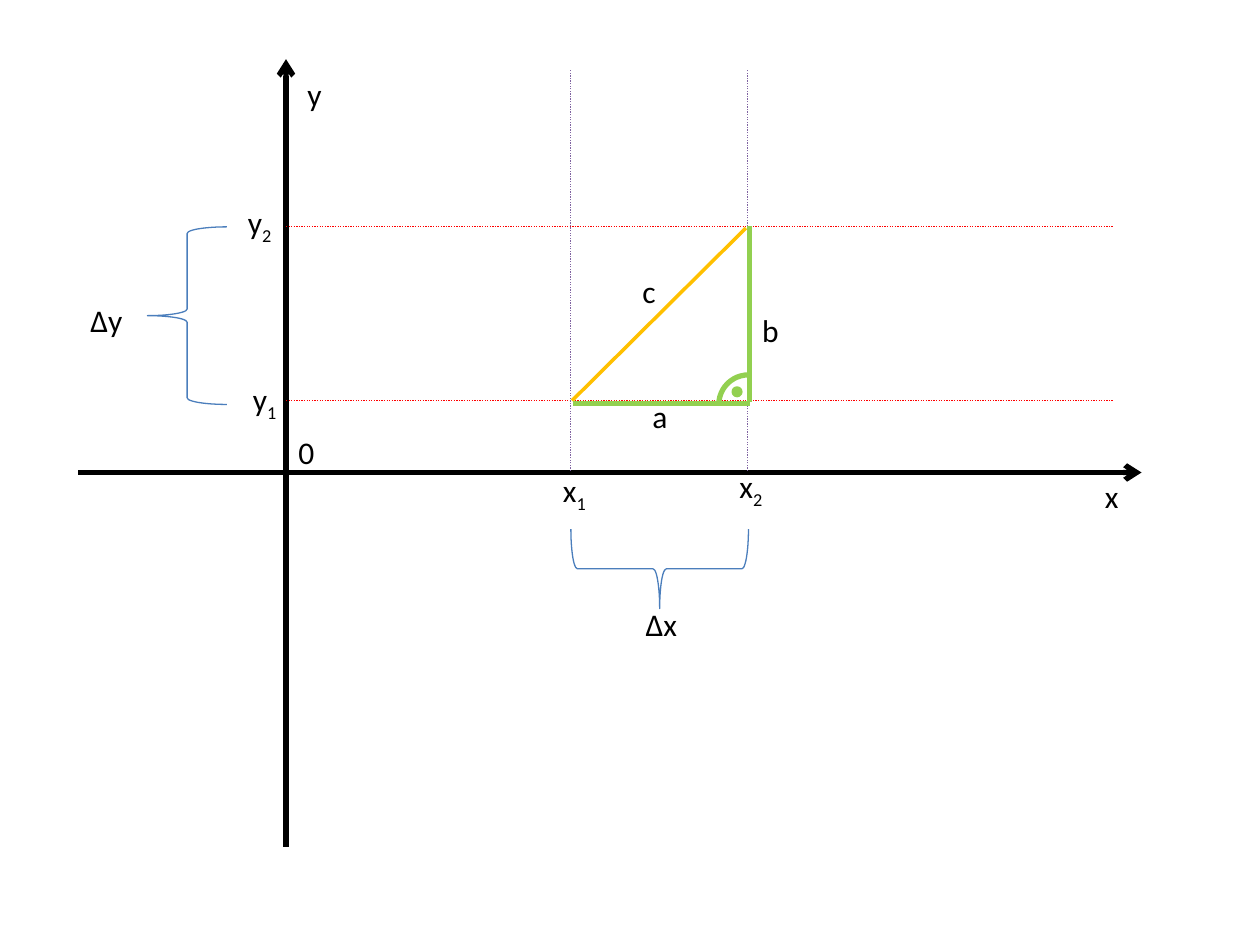
from collections import namedtuple

from lxml.etree import SubElement
from pptx import Presentation
from pptx.dml.color import RGBColor
from pptx.enum.dml import MSO_LINE_DASH_STYLE as Dash
from pptx.enum.shapes import MSO_CONNECTOR as Connector, MSO_SHAPE as Shape
from pptx.enum.text import MSO_AUTO_SIZE as AutoSize
from pptx.oxml.ns import qn
from pptx.util import Inches, Pt

COLORS = {"axis": "000000", "hypotenuse": "FFC000", "leg": "92D050",
          "level": "FF0000", "upright": "8064A2", "brace": "4B7EBC"}
FONT, TEXT_SIZE, LABEL_HEIGHT = "Calibri", 18, 0.4
BRACE_DEPTH = 0.63

# left, top, width and height in inches
Box = namedtuple("Box", "left top width height")


def color(name):
    return RGBColor.from_string(COLORS[name])


def add_line(page, start, end, name, width, dash=None, arrow=False):
    line = page.shapes.add_connector(
        Connector.STRAIGHT, *(Inches(value) for value in (*start, *end)))
    line.line.color.rgb = color(name)
    line.line.width = Pt(width)
    if dash:
        line.line.dash_style = dash
    if arrow:
        SubElement(line.line._get_or_add_ln(), qn("a:tailEnd"), type="arrow")
    SubElement(line._element.spPr, qn("a:effectLst"))


def add_outline(page, kind, box, name, width, rotation=0):
    shape = page.shapes.add_shape(kind, *(Inches(value) for value in box))
    shape.shadow.inherit = False
    shape.fill.background()
    shape.line.color.rgb = color(name)
    shape.line.width = Pt(width)
    shape.rotation = rotation
    return shape


def add_label(page, left, top, width, text, subscript=""):
    label = page.shapes.add_textbox(
        *(Inches(value) for value in (left, top, width, LABEL_HEIGHT)))
    frame = label.text_frame
    frame.word_wrap = False
    frame.auto_size = AutoSize.SHAPE_TO_FIT_TEXT
    para = frame.paragraphs[0]
    para.font.name, para.font.size = FONT, Pt(TEXT_SIZE)
    para.font.color.rgb = color("axis")
    para.add_run().text = text
    if subscript:
        span = para.add_run()
        span.text = subscript
        span._r.get_or_add_rPr().set("baseline", "-25000")


def draw_axes(page, box, origin):
    """Both axes across the box, crossing at the origin."""
    x, y = origin
    right, bottom = box.left + box.width, box.top + box.height
    add_line(page, (box.left, y), (right, y), "axis", 3, arrow=True)
    add_line(page, (x, y - 0.16), (x, y + 0.16), "axis", 2)
    add_line(page, (x, bottom), (x, box.top), "axis", 3, arrow=True)
    add_label(page, right - 0.39, y - 0.01, 0.31, "x")
    add_label(page, x, y - 0.36, 0.33, "0")
    add_label(page, x + 0.07, box.top + 0.08, 0.32, "y")


def draw_guides(page, box, triangle):
    """Dotted coordinate lines through the triangle's corners."""
    right, bottom = box.left + box.width, box.top + box.height
    for y in (triangle.top, triangle.top + triangle.height):
        add_line(page, (box.left, y), (right, y), "level", 0.75, Dash.ROUND_DOT)
    for x in (triangle.left, triangle.left + triangle.width):
        add_line(page, (x, bottom), (x, box.top), "upright", 0.75, Dash.ROUND_DOT)
    # Coordinate names beside the axes
    add_label(page, triangle.left - 0.16, bottom - 0.05, 0.4, "x", "1")
    add_label(page, triangle.left + triangle.width - 0.16, bottom - 0.08, 0.4, "x", "2")
    add_label(page, box.left - 0.36, triangle.top + triangle.height - 0.21, 0.4, "y", "1")
    add_label(page, box.left - 0.4, triangle.top - 0.24, 0.4, "y", "2")


def draw_triangle(page, box):
    """Right triangle with its sides named and the right angle marked."""
    right, bottom = box.left + box.width, box.top + box.height
    edge = 0.02  # the thick legs lie just outside the guides
    add_line(page, (box.left + 0.01, bottom), (right - 0.01, box.top + 0.01),
             "hypotenuse", 2)
    add_line(page, (box.left + edge, bottom + edge), (right + edge, bottom + edge),
             "leg", 3)
    add_line(page, (right + edge, bottom + 0.01), (right + edge, box.top - 0.01),
             "leg", 3)
    # Right angle: quarter arc and dot
    radius, dot = 0.235, 0.06
    add_outline(page, Shape.ARC, Box(right + 0.01 - radius, bottom + 0.03 - radius,
                                     2 * radius, 2 * radius), "leg", 3, 270)
    point = add_outline(page, Shape.OVAL,
                        Box(right - 0.11, bottom - 0.1, dot, dot), "leg", 2)
    point.fill.solid()
    point.fill.fore_color.rgb = color("leg")
    # Side names
    add_label(page, box.left + 0.55, bottom - 0.08, 0.32, "a")
    add_label(page, right + edge, box.top + 0.62, 0.34, "b")
    add_label(page, box.left + 0.47, box.top + 0.31, 0.31, "c")


def draw_width_brace(page, box):
    """Brace opening upwards over the box, with the difference below it."""
    middle_x, middle_y = box.left + box.width / 2, box.top + box.height / 2
    upright = Box(middle_x - box.height / 2, middle_y - box.width / 2,
                  box.height, box.width)
    add_outline(page, Shape.RIGHT_BRACE, upright, "brace", 0.75, 90)
    add_label(page, middle_x - 0.21, box.top + box.height - 0.08, 0.45, "Δx")


def draw_height_brace(page, box):
    """Brace opening to the right, with the difference left of it."""
    add_outline(page, Shape.RIGHT_BRACE, box, "brace", 0.75, 180)
    add_label(page, box.left - 0.55, box.top + 0.54, 0.46, "Δy")


def main():
    deck = Presentation()
    deck.slide_width, deck.slide_height = Inches(10), Inches(7.5)
    page = deck.slides.add_slide(deck.slide_layouts[6])

    origin = (2.27, 3.75)
    triangle = Box(4.53, 1.8, 1.4, 1.38)
    draw_axes(page, Box(0.62, 0.47, 8.44, 6.25), origin)
    draw_guides(page, Box(origin[0], 0.55, 6.56, 3.19), triangle)
    draw_triangle(page, triangle)
    draw_width_brace(page, Box(triangle.left, 4.2, 1.41, BRACE_DEPTH))
    draw_height_brace(page, Box(1.17, triangle.top, BRACE_DEPTH, 1.41))
    deck.save("out.pptx")


if __name__ == "__main__":
    main()
